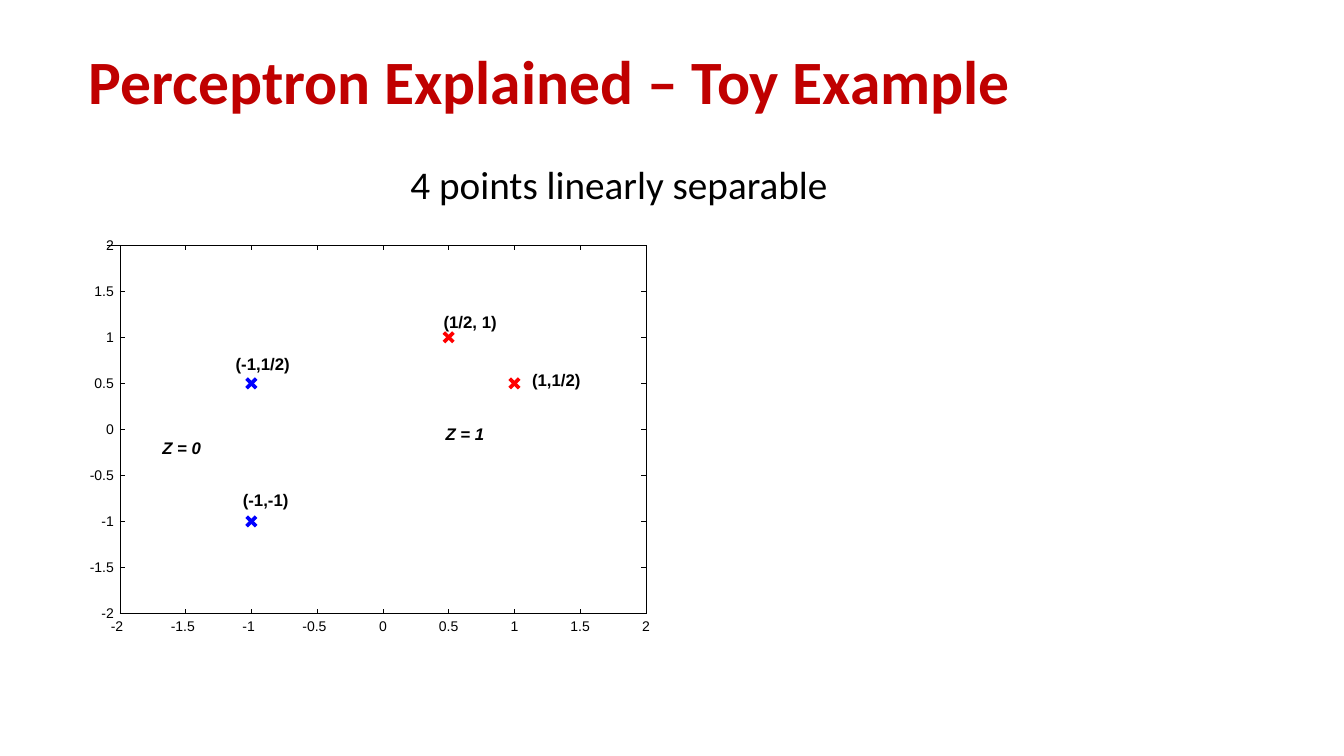
from lxml.etree import SubElement
from pptx import Presentation
from pptx.dml.color import RGBColor
from pptx.enum.shapes import MSO_CONNECTOR as Connector, MSO_SHAPE as Shape
from pptx.enum.text import MSO_ANCHOR as Anchor, MSO_AUTO_SIZE as AutoSize, PP_ALIGN as Align
from pptx.oxml.ns import qn
from pptx.util import Cm, Pt

COLORS = {"title": "C00000", "ink": "000000", "paper": "FFFFFF",
          "class 0": "0000FF", "class 1": "FF0000"}

# Plot frame and data scale, in centimetres
LEFT, TOP, WIDTH, HEIGHT = 3.02, 6.18, 13.26, 9.28
RIGHT, BOTTOM = LEFT + WIDTH, TOP + HEIGHT
LOW, HIGH, STEP = -2, 2, 0.5
TICK = 0.12
ARM = 0.12
HAIRLINE = 0.25
NUMBER_WIDTHS = {1: 0.24, 2: 0.4, 3: 0.55, 4: 0.7}  # by count of characters

POINTS = [(-1, -1, "class 0"), (-1, 0.5, "class 0"),
          (0.5, 1, "class 1"), (1, 0.5, "class 1")]
CAPTIONS = [  # text, left, top, width, italic
    ("Z = 1", 11.23, 10.67, 1.12, True),
    ("Z = 0", 4.09, 11.02, 1.12, True),
    ("(1/2, 1)", 11.18, 7.85, 1.47, False),
    ("(1,1/2)", 13.41, 9.32, 1.24, False),
    ("(-1,1/2)", 5.94, 8.92, 1.5, False),
    ("(-1,-1)", 6.12, 12.34, 1.27, False),
]


def plot_x(value):
    return LEFT + (value - LOW) / (HIGH - LOW) * WIDTH


def plot_y(value):
    return BOTTOM - (value - LOW) / (HIGH - LOW) * HEIGHT


class PlotSlide:
    """Holds the fonts, the slide and the group that gathers the plot."""

    text_font = "Calibri"
    plot_font = "Arial"

    def __init__(self, presentation):
        self.slide = presentation.slides.add_slide(presentation.slide_layouts[1])
        self.plot = self.slide.shapes.add_group_shape().shapes

    def add_run(self, paragraph, text, font, size, color="ink", bold=False, italic=False):
        run = paragraph.add_run()
        run.text = text
        run.font.name = font
        run.font.size = Pt(size)
        run.font.bold = bold
        run.font.italic = italic
        run.font.color.rgb = RGBColor.from_string(COLORS[color])

    def fill_placeholder(self, index, box, text, size, anchor, color="ink", bold=False, indent=0):
        shape = self.slide.placeholders[index]
        shape.left, shape.top, shape.width, shape.height = map(Cm, box)
        frame = shape.text_frame
        frame.auto_size = AutoSize.NONE
        frame.vertical_anchor = anchor
        paragraph = frame.paragraphs[0]
        properties = paragraph._p.get_or_add_pPr()
        properties.set("marL", str(Cm(indent)))
        properties.set("indent", "0")
        SubElement(properties, qn("a:buNone"))
        paragraph.alignment = Align.LEFT
        paragraph.line_spacing = 0.9
        paragraph.space_before = Pt(0)
        self.add_run(paragraph, text, self.text_font, size, color, bold)

    def line(self, x1, y1, x2, y2, color="ink", width=HAIRLINE):
        connector = self.plot.add_connector(Connector.STRAIGHT, *map(Cm, (x1, y1, x2, y2)))
        connector.line.color.rgb = RGBColor.from_string(COLORS[color])
        connector.line.width = Pt(width)
        SubElement(connector._element.spPr, qn("a:effectLst"))

    def background(self):
        shape = self.plot.add_shape(Shape.RECTANGLE, *map(Cm, (LEFT, TOP, WIDTH, HEIGHT)))
        shape.shadow.inherit = False
        shape.fill.background()
        shape.line.color.rgb = RGBColor.from_string(COLORS["paper"])
        shape.line.width = Pt(HAIRLINE)

    def label(self, text, left, top, width, size, align=Align.LEFT, bold=False, italic=False):
        height = size * 0.043
        box = self.plot.add_textbox(*map(Cm, (left, top, width, height)))
        frame = box.text_frame
        frame.margin_left = frame.margin_right = frame.margin_top = frame.margin_bottom = 0
        frame.word_wrap = False
        frame.auto_size = AutoSize.SHAPE_TO_FIT_TEXT
        paragraph = frame.paragraphs[0]
        paragraph.alignment = align
        self.add_run(paragraph, text, self.plot_font, size, bold=bold, italic=italic)

    def ticks(self, value):
        """Draws the marks and numbers of one value on both axes."""
        x, y = plot_x(value), plot_y(value)
        text = f"{value:g}"
        width = NUMBER_WIDTHS[len(text)]
        self.line(x, BOTTOM, x, BOTTOM - TICK)
        self.line(x, TOP, x, TOP + TICK)
        self.line(LEFT, y, LEFT + TICK, y)
        self.line(RIGHT, y, RIGHT - TICK, y)
        minus_shift = 0.07 if value < 0 else 0
        self.label(text, x - width / 2 - minus_shift, BOTTOM + 0.11, width, 10, Align.CENTER)
        self.label(text, LEFT - 0.15 - width, y - 0.23, width, 10, Align.RIGHT)

    def cross(self, x, y, color):
        for rise in (ARM, -ARM):
            self.line(x - ARM, y - rise, x + ARM, y + rise, color, 2.63)


def main():
    presentation = Presentation()
    presentation.slide_width, presentation.slide_height = Cm(33.87), Cm(19.05)

    page = PlotSlide(presentation)
    page.fill_placeholder(0, (1.98, 0.53, 28.78, 3.18), "Perceptron Explained – Toy Example",
                          44, Anchor.MIDDLE, "title", bold=True)
    page.fill_placeholder(1, (4.37, 4.04, 20.32, 1.9), "4 points linearly separable",
                          28, Anchor.TOP, indent=5.72)

    page.background()
    page.line(LEFT, TOP, RIGHT, TOP)
    for number in range(int((HIGH - LOW) / STEP) + 1):
        page.ticks(LOW + number * STEP)
    page.line(LEFT - 0.33, TOP, RIGHT - 0.33, TOP)
    page.line(LEFT, BOTTOM, RIGHT, BOTTOM)
    for x in (RIGHT, LEFT):
        page.line(x, BOTTOM, x, TOP)

    for x, y, color in POINTS:
        page.cross(plot_x(x), plot_y(y), color)
    for text, left, top, width, italic in CAPTIONS:
        page.label(text, left, top, width, 12, bold=True, italic=italic)

    presentation.save("out.pptx")


if __name__ == "__main__":
    main()
